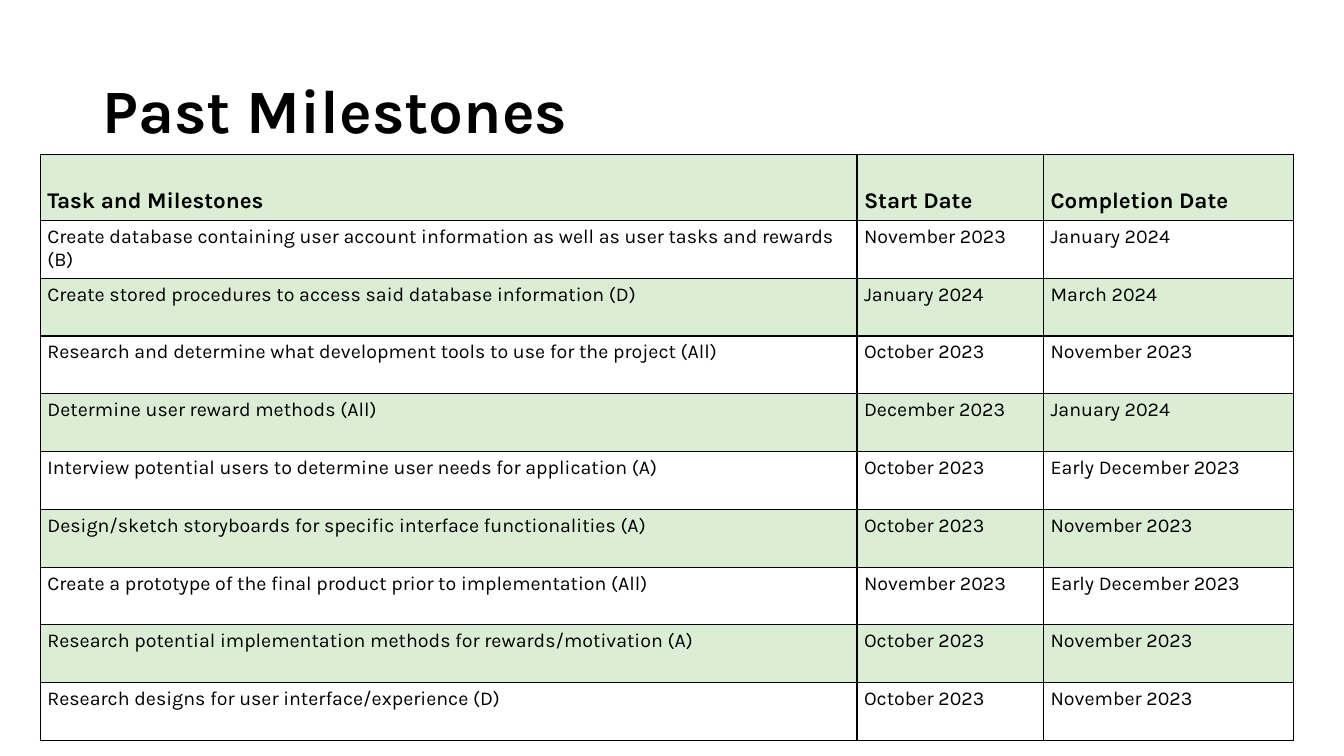
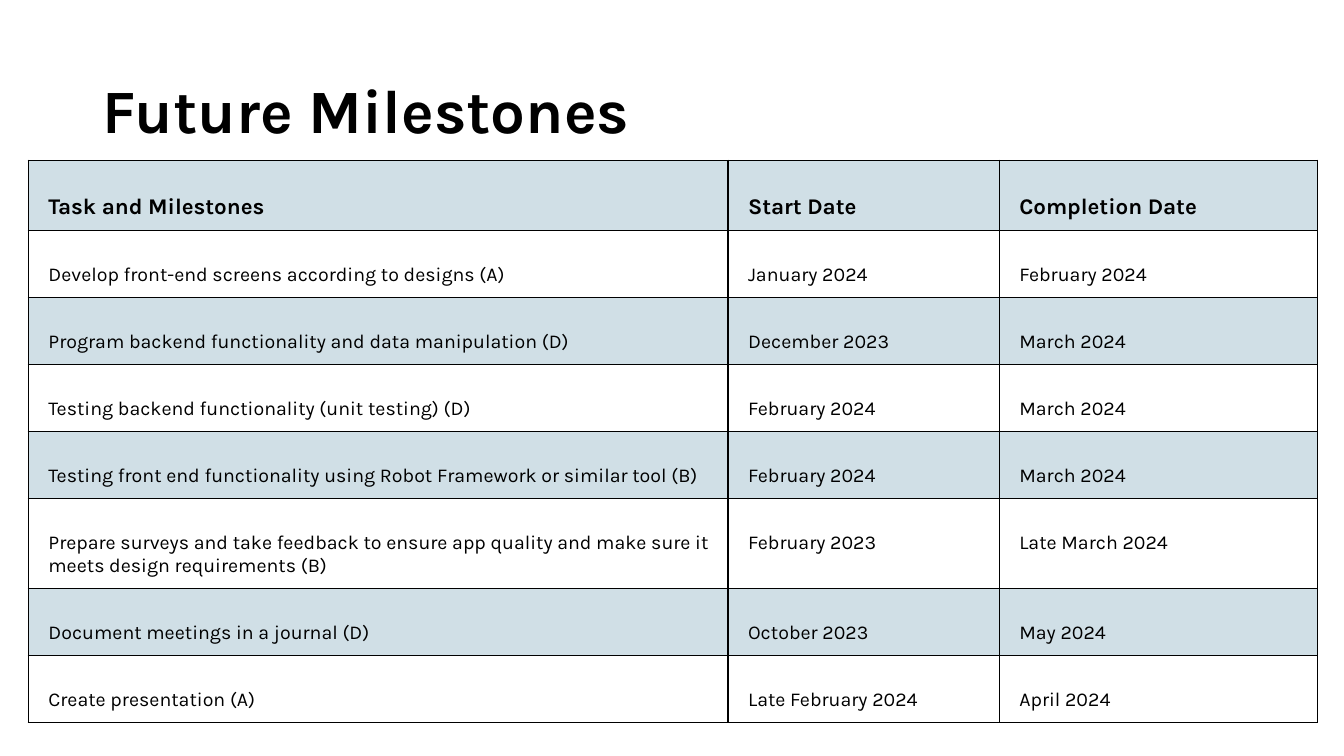
from dataclasses import dataclass

from lxml.etree import SubElement
from pptx import Presentation
from pptx.dml.color import RGBColor
from pptx.enum.text import MSO_ANCHOR
from pptx.oxml.ns import qn
from pptx.util import Inches, Pt


@dataclass(frozen=True)
class Theme:
    font: str = "Karla"
    ink: str = "000000"
    background: str = "FFFFFF"
    green: str = "4EA72E"
    blue: str = "156082"
    band_opacity: int = 20
    title_size: int = 44
    header_size: int = 16
    body_size: int = 14
    border_width: int = 1


@dataclass(frozen=True)
class TableLayout:
    """Lengths in inches; margins run left, top, right, bottom."""
    left: float
    top: float
    columns: tuple
    row_heights: tuple
    header_margins: tuple
    body_margins: tuple
    band: str


THEME = Theme()
HEADINGS = ("Task and Milestones", "Start Date", "Completion Date")

PAST_TASKS = (
    ("Create database containing user account information as well as user tasks and rewards (B)",
     "November 2023", "January 2024"),
    ("Create stored procedures to access said database information (D)",
     "January 2024", "March 2024"),
    ("Research and determine what development tools to use for the project (All)",
     "October 2023", "November 2023"),
    ("Determine user reward methods (All)", "December 2023", "January 2024"),
    ("Interview potential users to determine user needs for application (A)",
     "October 2023", "Early December 2023"),
    ("Design/sketch storyboards for specific interface functionalities (A)",
     "October 2023", "November 2023"),
    ("Create a prototype of the final product prior to implementation (All)",
     "November 2023", "Early December 2023"),
    ("Research potential implementation methods for rewards/motivation (A)",
     "October 2023", "November 2023"),
    ("Research designs for user interface/experience (D)",
     "October 2023", "November 2023"),
)

FUTURE_TASKS = (
    ("Develop front-end screens according to designs (A)", "January 2024", "February 2024"),
    ("Program backend functionality and data manipulation (D)", "December 2023", "March 2024"),
    ("Testing backend functionality (unit testing) (D)", "February 2024", "March 2024"),
    ("Testing front end functionality using Robot Framework or similar tool (B)",
     "February 2024", "March 2024"),
    ("Prepare surveys and take feedback to ensure app quality and make sure it "
     "meets design requirements (B)", "February 2023", "Late March 2024"),
    ("Document meetings in a journal (D)", "October 2023", "May 2024"),
    ("Create presentation (A)", "Late February 2024", "April 2024"),
)

PAST_LAYOUT = TableLayout(
    left=0.4, top=1.53, columns=(8.1, 1.85, 2.48),
    row_heights=(0.65,) + (5.16 / 9,) * 9,
    header_margins=(0.07, 0.34, 0.07, 0.05),
    body_margins=(0.07, 0.05, 0.07, 0.05), band=THEME.green)

FUTURE_LAYOUT = TableLayout(
    left=0.28, top=1.59, columns=(6.94, 2.69, 3.16),
    row_heights=(0.69,) + (0.65,) * 4 + (0.88,) + (0.65,) * 2,
    header_margins=(0.2, 0.33, 0, 0.1),
    body_margins=(0.2, 0.33, 0, 0.1), band=THEME.blue)


def style_text(paragraph, size, bold):
    for run in paragraph.runs:
        run.font.name = THEME.font
        run.font.size = Pt(size)
        run.font.bold = bold
        run.font.color.rgb = RGBColor.from_string(THEME.ink)


def add_title(slide, text):
    box = slide.shapes.add_textbox(Inches(0.92), Inches(0.4), Inches(11.5), Inches(1.45))
    text_frame = box.text_frame
    text_frame.word_wrap = True
    text_frame.vertical_anchor = MSO_ANCHOR.MIDDLE
    text_frame.text = text
    paragraph = text_frame.paragraphs[0]
    paragraph.line_spacing = 0.9
    style_text(paragraph, THEME.title_size, True)


def add_borders(cell):
    properties = cell._tc.get_or_add_tcPr()
    for side in ("a:lnL", "a:lnR", "a:lnT", "a:lnB"):
        line = SubElement(properties, qn(side), w=str(Pt(THEME.border_width)))
        fill = SubElement(line, qn("a:solidFill"))
        SubElement(fill, qn("a:srgbClr"), val=THEME.ink)


def fill_band(cell, color):
    """Fill the cell with a see-through tint of the colour."""
    cell.fill.solid()
    cell.fill.fore_color.rgb = RGBColor.from_string(color)
    fill = cell._tc.get_or_add_tcPr().find(qn("a:solidFill"))
    SubElement(fill[0], qn("a:alpha"), val=str(THEME.band_opacity * 1000))


def fill_cell(cell, text, layout, row_index):
    is_header = row_index == 0
    margins = layout.header_margins if is_header else layout.body_margins
    (cell.margin_left, cell.margin_top,
     cell.margin_right, cell.margin_bottom) = map(Inches, margins)
    cell.vertical_anchor = MSO_ANCHOR.TOP
    cell.text_frame.text = text
    size = THEME.header_size if is_header else THEME.body_size
    style_text(cell.text_frame.paragraphs[0], size, is_header)
    add_borders(cell)
    if row_index % 2 == 0:
        fill_band(cell, layout.band)
    else:
        cell.fill.background()


def add_milestone_table(slide, tasks, layout):
    rows = (HEADINGS,) + tasks
    frame = slide.shapes.add_table(
        len(rows), len(HEADINGS), Inches(layout.left), Inches(layout.top),
        Inches(sum(layout.columns)), Inches(sum(layout.row_heights)))
    table = frame.table
    table.first_row = False
    table.horz_banding = False
    for column, width in zip(table.columns, layout.columns):
        column.width = Inches(width)
    for row_index, (texts, height) in enumerate(zip(rows, layout.row_heights)):
        table.rows[row_index].height = Inches(height)
        for column_index, text in enumerate(texts):
            fill_cell(table.cell(row_index, column_index), text, layout, row_index)


def add_milestone_slide(presentation, title, tasks, layout):
    slide = presentation.slides.add_slide(presentation.slide_layouts[6])
    slide.background.fill.solid()
    slide.background.fill.fore_color.rgb = RGBColor.from_string(THEME.background)
    add_title(slide, title)
    add_milestone_table(slide, tasks, layout)


def main():
    presentation = Presentation()
    presentation.slide_width = Inches(13.33)
    presentation.slide_height = Inches(7.5)
    add_milestone_slide(presentation, "Past Milestones", PAST_TASKS, PAST_LAYOUT)
    add_milestone_slide(presentation, "Future Milestones", FUTURE_TASKS, FUTURE_LAYOUT)
    presentation.save("out.pptx")


if __name__ == "__main__":
    main()
